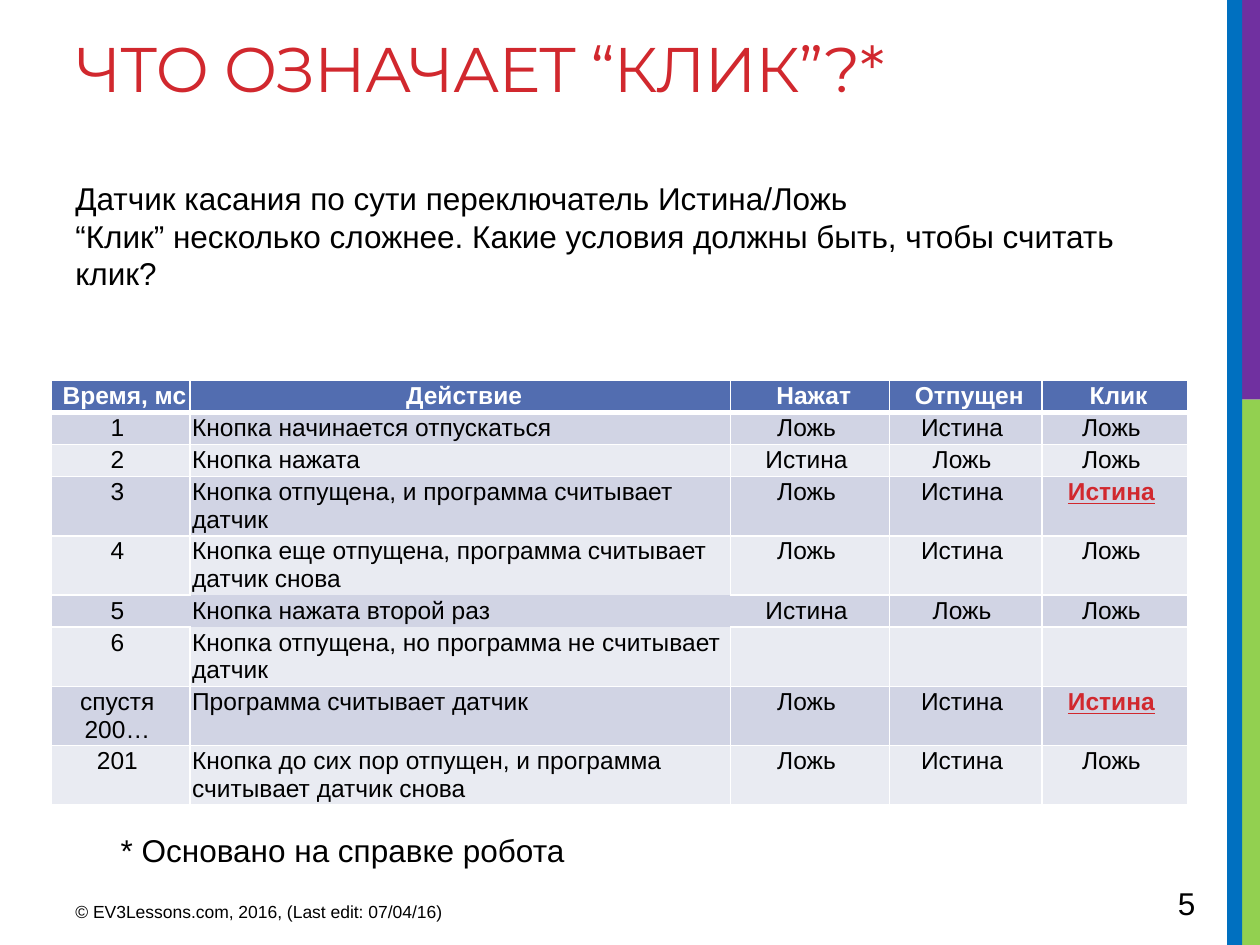
from dataclasses import dataclass
from typing import Any, NamedTuple

from lxml import etree
from pptx import Presentation
from pptx.dml.color import RGBColor
from pptx.enum import shapes, text
from pptx.oxml import ns
from pptx.util import Pt


@dataclass(frozen=True)
class Theme:
    sans: str = "Arial"
    head: str = "Montserrat"
    red: str = "D1282E"
    black: str = "000000"
    white: str = "FFFFFF"
    blue: str = "0070C0"
    green: str = "92D050"
    purple: str = "7030A0"
    navy: str = "526DB0"
    bands: tuple[str, str] = ("D1D4E4", "E9EBF2")
    title: float = 36
    body: float = 18
    cell: float = 14
    small: float = 10


class Box(NamedTuple):
    left: float
    top: float
    width: float
    height: float


class Bar(NamedTuple):
    box: Box
    color: str


class Note(NamedTuple):
    box: Box
    lines: tuple[str, ...]
    size: float
    font: str
    color: str
    mid: bool = False
    track: int = 0


T = Theme()
TRUE, FALSE, CLICK = "Истина", "Ложь", "Истина!"

BARS = [
    Bar(Box(701.28, 0, 7.2, 540), T.blue),
    Bar(Box(708.48, 228.24, 11.52, 311.76), T.green),
    Bar(Box(705.6, 0, 14.4, 228.24), T.purple),
    Bar(Box(702.72, 0, 7.2, 540), T.blue),
]

NOTES = [
    Note(Box(36, 12.24, 649.44, 51.84), ("ЧТО ОЗНАЧАЕТ “КЛИК”?*",),
         T.title, T.head, T.red, mid=True, track=-60),
    Note(Box(36, 511.2, 270, 22.32),
         ("© EV3Lessons.com, 2016, (Last edit: 07/04/16)",),
         T.small, T.sans, T.black),
    Note(Box(666, 501.84, 49.68, 28.8), ("5",), T.body, T.sans, T.black, mid=True),
    Note(Box(36, 98.64, 626.4, 72.72),
         ("Датчик касания по сути переключатель Истина/Ложь",
          "“Клик” несколько сложнее. Какие условия должны быть, чтобы считать клик?"),
         T.body, T.sans, T.black),
    Note(Box(61.92, 471.6, 346.32, 28.8), ("* Основано на справке робота",),
         T.body, T.sans, T.black),
]

GRID = Box(29.52, 217.44, 649.44, 242.4)
COLS = [79.2, 308.88, 90.72, 87.12, 83.52]
LOW, TALL = 18.3, 33.9
ROWS = [
    (LOW, "Время, мс", "Действие", "Нажат", "Отпущен", "Клик"),
    (LOW, "1", "Кнопка начинается отпускаться", FALSE, TRUE, FALSE),
    (LOW, "2", "Кнопка нажата", TRUE, FALSE, FALSE),
    (TALL, "3", "Кнопка отпущена, и программа считывает датчик", FALSE, TRUE, CLICK),
    (TALL, "4", "Кнопка еще отпущена, программа считывает датчик снова",
     FALSE, TRUE, FALSE),
    (LOW, "5", "Кнопка нажата второй раз", TRUE, FALSE, FALSE),
    (TALL, "6", "Кнопка отпущена, но программа не считывает датчик", "", "", ""),
    (TALL, "спустя 200…", "Программа считывает датчик", FALSE, TRUE, CLICK),
    (TALL, "201", "Кнопка до сих пор отпущен, и программа считывает датчик снова",
     FALSE, TRUE, FALSE),
]
BARE = {(5, 1): "LRTB", (4, 1): "B", (6, 1): "T", (5, 0): "R", (5, 2): "L"}


def apply(item: Any, form: dict[str, Any]) -> None:
    for name, value in form.items():
        setattr(item, name, value)


def style(font: Any, color: str, **form: Any) -> None:
    apply(font, form)
    font.color.rgb = RGBColor.from_string(color)


def paint(fill: Any, color: str) -> None:
    fill.solid()
    fill.fore_color.rgb = RGBColor.from_string(color)


def draw_bar(slide: Any, bar: Bar) -> None:
    shape = slide.shapes.add_shape(shapes.MSO_SHAPE.RECTANGLE, *map(Pt, bar.box))
    shape.shadow.inherit = False
    paint(shape.fill, bar.color)
    shape.line.fill.background()


def draw_note(slide: Any, note: Note) -> None:
    frame = slide.shapes.add_textbox(*map(Pt, note.box)).text_frame
    anchor = text.MSO_ANCHOR.MIDDLE if note.mid else text.MSO_ANCHOR.TOP
    apply(frame, {"word_wrap": True, "vertical_anchor": anchor})
    for i, line in enumerate(note.lines):
        para = frame.add_paragraph() if i else frame.paragraphs[0]
        run = para.add_run()
        run.text = line
        style(run.font, note.color, name=note.font, size=Pt(note.size))
        if note.track:
            run.font._element.set("spc", str(note.track))


def draw_edges(cell: Any, bare: str, head: bool, under: bool) -> None:
    props = cell._tc.get_or_add_tcPr()
    for side in "LRTB":
        thick = head and side == "B" or under and side == "T"
        line = etree.SubElement(props, ns.qn(f"a:ln{side}"), w=str(Pt(3 if thick else 1)))
        if side in bare:
            etree.SubElement(line, ns.qn("a:noFill"))
        else:
            fill = etree.SubElement(line, ns.qn("a:solidFill"))
            etree.SubElement(fill, ns.qn("a:srgbClr"), val=T.white)


def draw_cell(cell: Any, word: str, r: int, c: int) -> None:
    head, click = r == 0, word == CLICK
    draw_edges(cell, BARE.get((r, c), ""), head, r == 1)
    paint(cell.fill, T.navy if head else T.bands[(r - 1) % 2])
    near, far = (5.2, 1.1) if head else (1.1, 5.2)
    apply(cell, {"margin_left": Pt(near), "margin_right": Pt(far),
                 "margin_top": Pt(1.1), "margin_bottom": Pt(1.1)})
    para = cell.text_frame.paragraphs[0]
    para.alignment = text.PP_ALIGN.CENTER if head or c != 1 else text.PP_ALIGN.LEFT
    color = T.white if head else T.red if click else T.black
    form = {"name": T.sans, "size": Pt(T.cell), "bold": head or click, "underline": click}
    if word:
        run = para.add_run()
        run.text = TRUE if click else word
        style(run.font, color, **form)
    else:
        style(para.font, color, **form)


def draw_grid(slide: Any) -> None:
    grid = slide.shapes.add_table(len(ROWS), len(COLS), *map(Pt, GRID)).table
    grid.horz_banding = False
    for col, width in zip(grid.columns, COLS):
        col.width = Pt(width)
    for r, (height, *words) in enumerate(ROWS):
        grid.rows[r].height = Pt(height)
        for c, word in enumerate(words):
            draw_cell(grid.cell(r, c), word, r, c)


def main() -> None:
    deck = Presentation()
    apply(deck, {"slide_width": Pt(720), "slide_height": Pt(540)})
    slide = deck.slides.add_slide(deck.slide_layouts[6])
    for bar in BARS:
        draw_bar(slide, bar)
    draw_grid(slide)
    for note in NOTES:
        draw_note(slide, note)
    deck.save("out.pptx")


if __name__ == "__main__":
    main()
